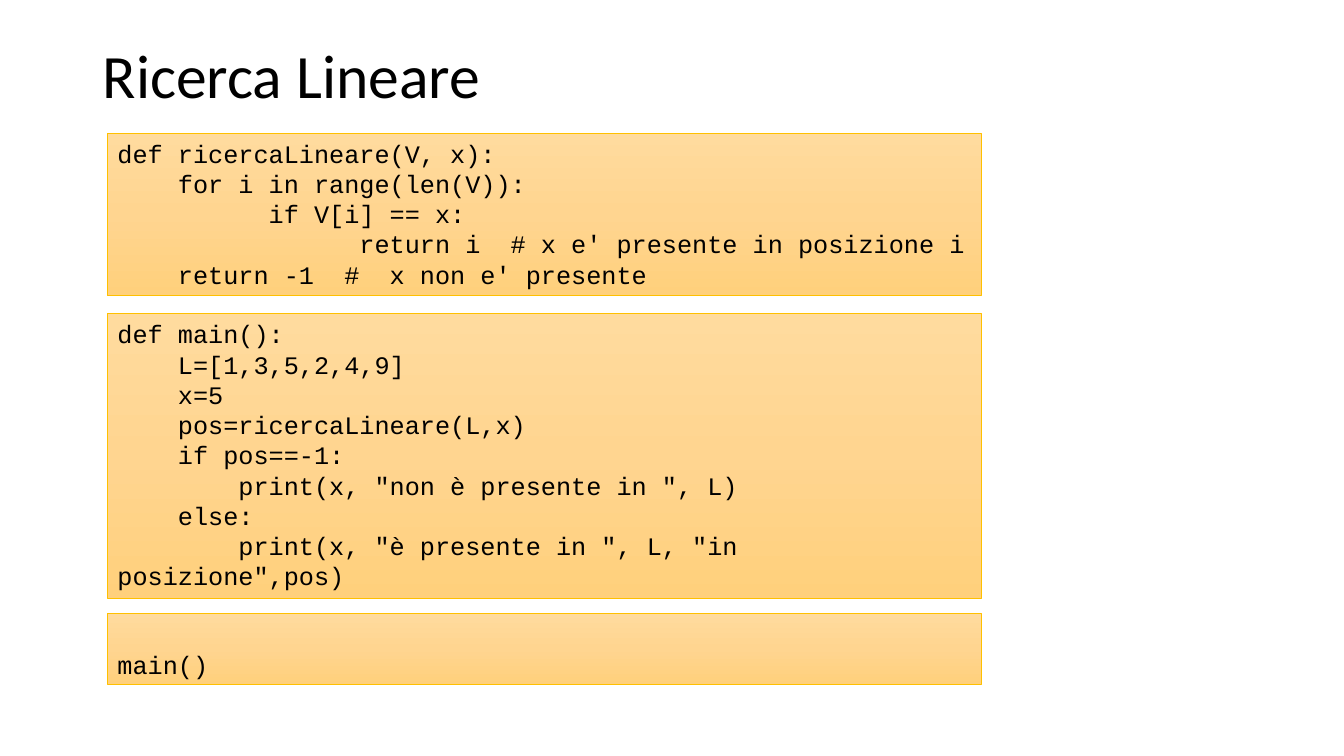
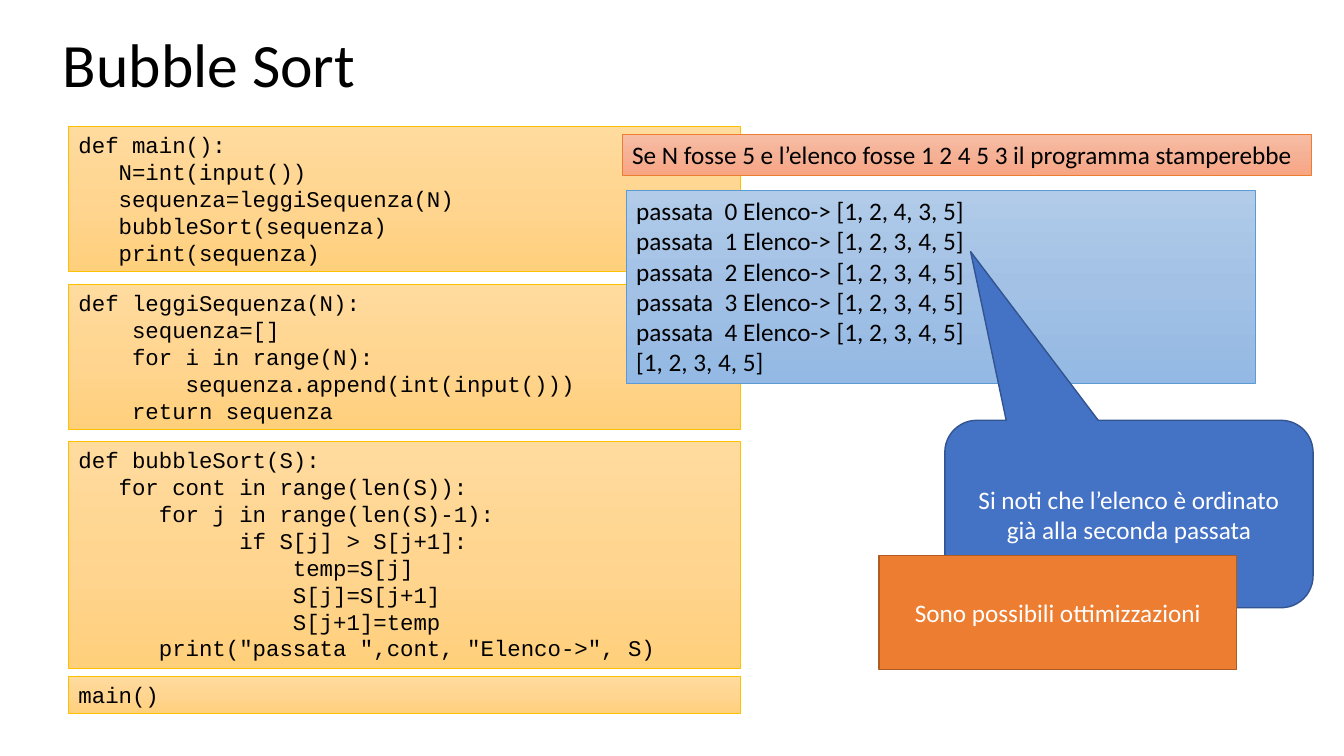
"""Build two lesson slides on linear search and bubble sort."""
import copy
from dataclasses import dataclass

import pptx
import pptx.dml.color
import pptx.enum.shapes
import pptx.enum.text
import pptx.oxml.ns
import pptx.presentation
import pptx.shapes.autoshape
import pptx.slide
import pptx.util

SLIDE_WIDTH, SLIDE_HEIGHT = 13.33, 7.5
LINE_HEIGHT = 1.21
PANEL_PADDING = 0.1
SANS, MONO = "Calibri", "Courier New"
BLACK, WHITE = "000000", "FFFFFF"
BLUE, BLUE_EDGE = "4472C4", "325491"
ORANGE, ORANGE_EDGE = "ED7D31", "AF5C24"
RECTANGLE = pptx.enum.shapes.MSO_SHAPE.RECTANGLE
CALLOUT = pptx.enum.shapes.MSO_SHAPE.ROUNDED_RECTANGULAR_CALLOUT
TOP = pptx.enum.text.MSO_ANCHOR.TOP
MIDDLE = pptx.enum.text.MSO_ANCHOR.MIDDLE
BOTTOM = pptx.enum.text.MSO_ANCHOR.BOTTOM
LEFT = pptx.enum.text.PP_ALIGN.LEFT
CENTER = pptx.enum.text.PP_ALIGN.CENTER


@dataclass(frozen=True)
class Area:
    left: float
    top: float
    width: float
    height: float

    def emu(self) -> tuple[int, ...]:
        sides = (SLIDE_WIDTH, SLIDE_HEIGHT, SLIDE_WIDTH, SLIDE_HEIGHT)
        shares = (self.left, self.top, self.width, self.height)
        return tuple(pptx.util.Inches(side * share / 100) for side, share in zip(sides, shares))


@dataclass(frozen=True)
class Theme:
    gradient: tuple[str, str, str]
    edge: str
    font: str


@dataclass(frozen=True)
class Panel:
    left: float
    top: float
    width: float
    rows: int
    text: str
    theme: Theme
    size: int = 18
    anchor: pptx.enum.text.MSO_ANCHOR = TOP

    def area(self) -> Area:
        height = self.rows * self.size / 72 * LINE_HEIGHT + PANEL_PADDING
        return Area(self.left, self.top, self.width, height / SLIDE_HEIGHT * 100)


@dataclass(frozen=True)
class Remark:
    area: Area
    text: str
    fill: str
    edge: str
    outline: pptx.enum.shapes.MSO_SHAPE = RECTANGLE
    adjustments: tuple[float, ...] = ()


CODE = Theme(("FFDB9E", "FFD590", "FFD07C"), "FFC000", MONO)
QUESTION = Theme(("F7BDA5", "F5B196", "F8A582"), ORANGE, SANS)
OUTPUT = Theme(("B1CBE9", "A3C1E5", "93B9E4"), "5B9BD5", SANS)

LINEAR_SEARCH = """def ricercaLineare(V, x):
    for i in range(len(V)):
          if V[i] == x:
                return i  # x e' presente in posizione i
    return -1  #  x non e' presente"""

SEARCH_MAIN = """def main():
    L=[1,3,5,2,4,9]
    x=5
    pos=ricercaLineare(L,x)
    if pos==-1:
        print(x, "non è presente in ", L)
    else:
        print(x, "è presente in ", L, "in posizione",pos)"""

SORT_MAIN = """def main():
   N=int(input())
   sequenza=leggiSequenza(N)
   bubbleSort(sequenza)
   print(sequenza)"""

READ_SEQUENCE = """def leggiSequenza(N):
    sequenza=[]
    for i in range(N):
        sequenza.append(int(input()))
    return sequenza"""

BUBBLE_SORT = """def bubbleSort(S):
   for cont in range(len(S)):
      for j in range(len(S)-1):
            if S[j] > S[j+1]:
                temp=S[j]
                S[j]=S[j+1]
                S[j+1]=temp
      print("passata ",cont, "Elenco->", S)"""

SORT_OUTPUT = """passata  0 Elenco-> [1, 2, 4, 3, 5]
passata  1 Elenco-> [1, 2, 3, 4, 5]
passata  2 Elenco-> [1, 2, 3, 4, 5]
passata  3 Elenco-> [1, 2, 3, 4, 5]
passata  4 Elenco-> [1, 2, 3, 4, 5]
[1, 2, 3, 4, 5]"""

SEARCH_PANELS = (
    Panel(8, 17.6, 65, 5, LINEAR_SEARCH, CODE),
    Panel(8, 41.5, 65, 9, SEARCH_MAIN, CODE),
    Panel(8, 81.1, 65, 2, "main()", CODE, anchor=BOTTOM),
)
SORT_PANELS = (
    Panel(5.1, 16.7, 50, 5, SORT_MAIN, CODE, size=16),
    Panel(5.1, 37.6, 50, 5, READ_SEQUENCE, CODE, size=16),
    Panel(5.1, 58.4, 50, 8, BUBBLE_SORT, CODE, size=16),
    Panel(5.1, 89.5, 50, 1, "main()", CODE, size=16),
    Panel(46.3, 17.8, 51.3, 1,
          "Se N fosse 5 e l’elenco fosse 1 2 4 5 3 il programma stamperebbe", QUESTION),
    Panel(46.6, 25.2, 46.8, 6, SORT_OUTPUT, OUTPUT),
)
SORT_REMARKS = (
    Remark(Area(70.3, 55.6, 27.4, 24.8), "Si noti che l’elenco è ordinato già alla seconda passata",
           BLUE, BLUE_EDGE, CALLOUT, (-0.43, -1.4, 0.17)),
    Remark(Area(65.4, 73.5, 26.6, 15.1), "Sono possibili ottimizzazioni", ORANGE, ORANGE_EDGE),
)


def rgb(colour: str) -> pptx.dml.color.RGBColor:
    return pptx.dml.color.RGBColor.from_string(colour)


def write_text(shape: pptx.shapes.autoshape.Shape, text: str, *, size: int = 18, font: str = SANS,
               colour: str = BLACK, align: pptx.enum.text.PP_ALIGN = LEFT,
               anchor: pptx.enum.text.MSO_ANCHOR = TOP, spacing: float = 1.0) -> None:
    frame = shape.text_frame
    frame.word_wrap = True
    frame.vertical_anchor = anchor
    frame.text = text
    for paragraph in frame.paragraphs:
        paragraph.alignment = align
        paragraph.line_spacing = spacing
        for run in paragraph.runs:
            run.font.size = pptx.util.Pt(size)
            run.font.name = font
            run.font.color.rgb = rgb(colour)


def add_outline(slide: pptx.slide.Slide, outline: pptx.enum.shapes.MSO_SHAPE, area: Area,
                edge: str, weight: float) -> pptx.shapes.autoshape.Shape:
    shape = slide.shapes.add_shape(outline, *area.emu())
    shape.shadow.inherit = False
    shape.line.color.rgb = rgb(edge)
    shape.line.width = pptx.util.Pt(weight)
    return shape


def fill_gradient(shape: pptx.shapes.autoshape.Shape, colours: tuple[str, str, str]) -> None:
    shape.fill.gradient()
    shape.fill.gradient_angle = 270
    stop_list = shape.element.spPr.find(".//" + pptx.oxml.ns.qn("a:gsLst"))
    stop_list.insert(1, copy.deepcopy(stop_list[0]))
    for stop, colour, position in zip(shape.fill.gradient_stops, colours, (0, 0.5, 1)):
        stop.color.rgb = rgb(colour)
        stop.position = position


def add_panel(slide: pptx.slide.Slide, panel: Panel) -> None:
    shape = add_outline(slide, RECTANGLE, panel.area(), panel.theme.edge, 0.5)
    fill_gradient(shape, panel.theme.gradient)
    write_text(shape, panel.text, size=panel.size, font=panel.theme.font, anchor=panel.anchor)


def add_remark(slide: pptx.slide.Slide, remark: Remark) -> None:
    shape = add_outline(slide, remark.outline, remark.area, remark.edge, 1)
    for index, value in enumerate(remark.adjustments):
        shape.adjustments[index] = value
    shape.fill.solid()
    shape.fill.fore_color.rgb = rgb(remark.fill)
    write_text(shape, remark.text, colour=WHITE, align=CENTER, anchor=MIDDLE)


def add_lesson(deck: pptx.presentation.Presentation, title: str, left: float, top: float,
               panels: tuple[Panel, ...], remarks: tuple[Remark, ...] = ()) -> None:
    slide = deck.slides.add_slide(deck.slide_layouts[6])
    heading = slide.shapes.add_textbox(*Area(left, top, 86.25, 19.3).emu())
    write_text(heading, title, size=44, spacing=0.9)
    for panel in panels:
        add_panel(slide, panel)
    for remark in remarks:
        add_remark(slide, remark)


def main() -> None:
    deck = pptx.Presentation()
    deck.slide_width = pptx.util.Inches(SLIDE_WIDTH)
    deck.slide_height = pptx.util.Inches(SLIDE_HEIGHT)
    add_lesson(deck, "Ricerca Lineare", 6.9, 5.3, SEARCH_PANELS)
    add_lesson(deck, "Bubble Sort", 3.95, 3.9, SORT_PANELS, SORT_REMARKS)
    deck.save("out.pptx")


if __name__ == "__main__":
    main()
